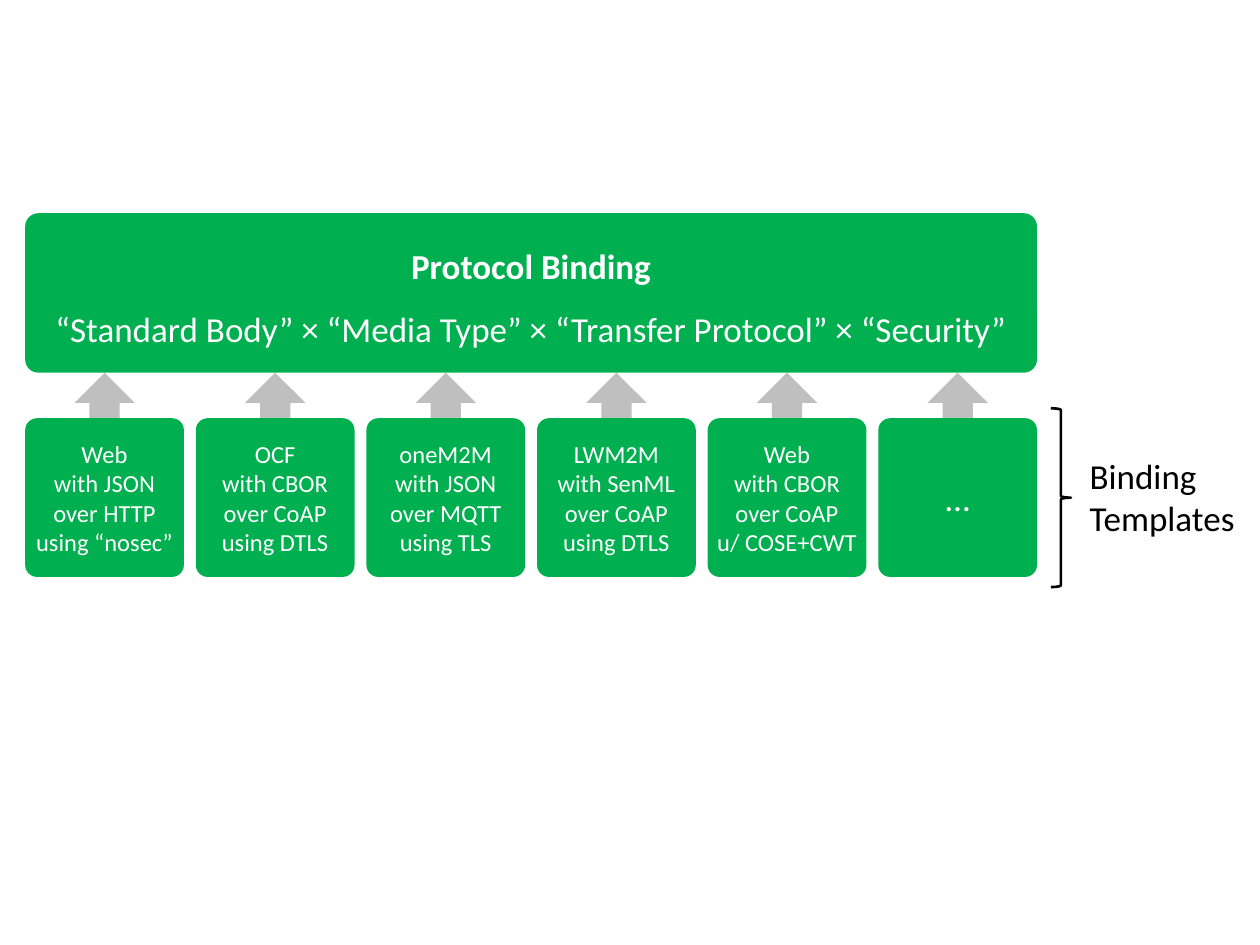
from dataclasses import dataclass

from pptx import Presentation
from pptx.dml.color import RGBColor
from pptx.enum.shapes import MSO_SHAPE
from pptx.enum.text import MSO_ANCHOR, MSO_AUTO_SIZE, PP_ALIGN
from pptx.util import Pt

GREEN, GREY, WHITE, BLACK = "00B050", "BFBFBF", "FFFFFF", "000000"


@dataclass(frozen=True)
class Box:
    left: float
    top: float
    width: float
    height: float

    def lengths(self):
        return [Pt(v) for v in (self.left, self.top, self.width, self.height)]


@dataclass(frozen=True)
class Template:
    paragraphs: tuple[str, ...]
    size: float = 14


TEMPLATES = [
    Template(("Web", "with JSON", "over HTTP", "using “nosec”")),
    Template(("OCF", "with CBOR", "over CoAP", "using DTLS")),
    Template(("oneM2M", "with JSON", "over MQTT", "using TLS")),
    Template(("LWM2M", "with SenML", "over CoAP", "using DTLS")),
    Template(("Web\nwith CBOR\nover CoAP\nu/ COSE+CWT",)),
    Template(("…",), size=20),
]

BINDING = Box(14.4, 121.8, 578.2, 91.2)
CARD_SIZE, CARD_TOP = 90.7, 239
PITCH = (BINDING.width - CARD_SIZE) / (len(TEMPLATES) - 1)
ARROW_WIDTH, ARROW_HEIGHT = 34.6, 41


def colour(code: str) -> RGBColor:
    return RGBColor.from_string(code)


def apply(target, values: dict) -> None:
    for name, value in values.items():
        setattr(target, name, value)


def add_preset(slide, preset, box: Box, fill: str | None = None, corner: float | None = None):
    shape = slide.shapes.add_shape(preset, *box.lengths())
    shape.shadow.inherit = False
    if fill:
        shape.fill.solid()
        shape.fill.fore_color.rgb = colour(fill)
        shape.line.fill.background()
    else:
        shape.fill.background()
    if corner is not None:
        shape.adjustments[0] = corner
    return shape


def write(shape, paragraphs: tuple[str, ...], size: float, code: str = WHITE,
          frame_format: dict | None = None, paragraph_format: dict | None = None) -> None:
    frame = shape.text_frame
    apply(frame, {"word_wrap": False} | (frame_format or {}))
    for index, text in enumerate(paragraphs):
        paragraph = frame.add_paragraph() if index else frame.paragraphs[0]
        paragraph.text = text
        apply(paragraph, paragraph_format or {"alignment": PP_ALIGN.CENTER})
        for run in paragraph.runs:
            apply(run.font, {"name": "Calibri", "size": Pt(size)})
            run.font.color.rgb = colour(code)


def add_arrow(slide, column: int) -> None:
    left = BINDING.left + column * PITCH + (CARD_SIZE - ARROW_WIDTH) / 2
    box = Box(left, BINDING.top + BINDING.height, ARROW_WIDTH, ARROW_HEIGHT)
    add_preset(slide, MSO_SHAPE.UP_ARROW, box, GREY)


def add_card(slide, column: int, template: Template) -> None:
    box = Box(BINDING.left + column * PITCH, CARD_TOP, CARD_SIZE, CARD_SIZE)
    card = add_preset(slide, MSO_SHAPE.ROUNDED_RECTANGLE, box, GREEN, 0.075)
    write(card, template.paragraphs, template.size,
          frame_format={"vertical_anchor": MSO_ANCHOR.MIDDLE})


def main() -> None:
    deck = Presentation()
    apply(deck, {"slide_width": Pt(720), "slide_height": Pt(540)})
    slide = deck.slides.add_slide(deck.slide_layouts[6])

    # Arrows, behind the boxes they join
    for column in range(len(TEMPLATES)):
        add_arrow(slide, column)

    # Protocol binding
    binding = add_preset(slide, MSO_SHAPE.ROUNDED_RECTANGLE, BINDING, GREEN, 0.083)
    write(binding,
          ("Protocol Binding",
           "“Standard Body” × “Media Type” × “Transfer Protocol” × “Security”"),
          20,
          frame_format={"vertical_anchor": MSO_ANCHOR.TOP},
          paragraph_format={"alignment": PP_ALIGN.CENTER, "line_spacing": 1.5})
    binding.text_frame.paragraphs[0].runs[0].font.bold = True

    # Binding templates
    for column, template in enumerate(TEMPLATES):
        add_card(slide, column, template)

    # Brace and its label
    brace = add_preset(slide, MSO_SHAPE.RIGHT_BRACE, Box(600.5, 233.3, 11.5, 102.2))
    brace.line.color.rgb = colour(BLACK)
    brace.line.width = Pt(1.5)
    label = slide.shapes.add_textbox(*Box(615.6, 256.3, 98.6, 55.7).lengths())
    write(label, ("Binding\nTemplates",), 20, BLACK,
          frame_format={"auto_size": MSO_AUTO_SIZE.SHAPE_TO_FIT_TEXT},
          paragraph_format={"alignment": PP_ALIGN.LEFT})

    deck.save("out.pptx")


if __name__ == "__main__":
    main()
